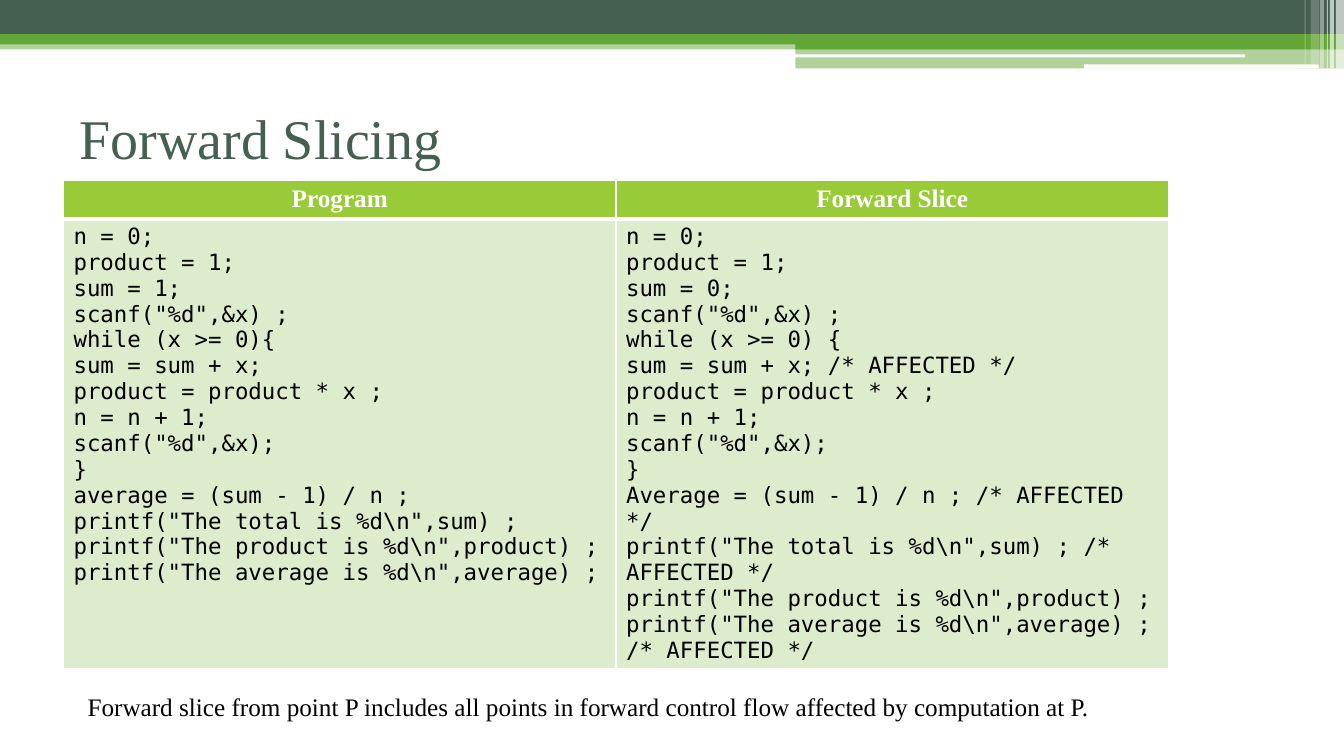
from dataclasses import dataclass

from lxml import etree
from pptx import Presentation
from pptx import util as u
from pptx.dml.color import RGBColor
from pptx.enum import shapes, text
from pptx.oxml.ns import qn


@dataclass(frozen=True)
class Theme:
    dark: str = "455F51"
    green: str = "63A537"
    lime: str = "99CB38"
    pale: str = "DEECCE"
    white: str = "FFFFFF"
    black: str = "000000"
    serif: str = "Times New Roman"
    mono: str = "DejaVu Sans Mono"
    title: int = 40
    body: int = 18
    code: int = 16


def write(frame, words, font, size, color, bold=False, align=text.PP_ALIGN.LEFT):
    """Fill a frame with one paragraph; newlines become line breaks."""
    para = frame.paragraphs[0]
    para.text = words.replace("\n", "\v")
    para.alignment = align
    for run in para.runs:
        run.font.name = font
        run.font.size = u.Pt(size)
        run.font.bold = bold
        run.font.color.rgb = RGBColor.from_string(color)
    for gap in para._p.findall(qn("a:br")):
        props = etree.SubElement(gap, qn("a:rPr"), sz=str(size * 100))
        etree.SubElement(props, qn("a:latin"), typeface=font)


def tint(fill, color, alpha=100):
    """Set a solid fill with its opacity in percent."""
    fill.solid()
    fill.fore_color.rgb = RGBColor.from_string(color)
    if alpha < 100:
        node = fill._xPr.find(qn("a:solidFill"))[0]
        etree.SubElement(node, qn("a:alpha"), val=str(alpha * 1000))


def edge(cell, color, base):
    """Draw 1 pt cell borders, with the bottom one base points wide."""
    props = cell._tc.get_or_add_tcPr()
    widths = {"lnL": 1, "lnR": 1, "lnT": 1, "lnB": base}
    for spot, (side, width) in enumerate(widths.items()):
        line = etree.Element(qn(f"a:{side}"), w=str(u.Pt(width)))
        solid = etree.SubElement(line, qn("a:solidFill"))
        etree.SubElement(solid, qn("a:srgbClr"), val=color)
        props.insert(spot, line)


class Deck:
    def __init__(self, theme):
        self.theme = theme
        self.file = Presentation()
        self.file.slide_width = u.Inches(13.33)
        self.file.slide_height = u.Inches(7.5)
        self.slide = self.file.slides.add_slide(self.file.slide_layouts[6])

    def bar(self, box, color, alpha=100, kind=shapes.MSO_SHAPE.RECTANGLE):
        shape = self.slide.shapes.add_shape(kind, *map(u.Inches, box))
        shape.shadow.inherit = False
        shape.line.fill.background()
        tint(shape.fill, color, alpha)

    def label(self, box, words, size, color, anchor=text.MSO_ANCHOR.TOP):
        frame = self.slide.shapes.add_textbox(*map(u.Inches, box)).text_frame
        frame.word_wrap = True
        frame.vertical_anchor = anchor
        write(frame, words, self.theme.serif, size, color)

    def table(self, box, heads, codes, rows):
        look = self.theme
        grid = self.slide.shapes.add_table(2, len(heads), *map(u.Inches, box)).table
        for row, high in zip(grid.rows, rows):
            row.height = u.Inches(high)
        for col, (head, code) in enumerate(zip(heads, codes)):
            top, low = grid.cell(0, col), grid.cell(1, col)
            write(top.text_frame, head, look.serif, look.body, look.white,
                  bold=True, align=text.PP_ALIGN.CENTER)
            write(low.text_frame, code, look.mono, look.code, look.black)
            for cell, color, base in ((top, look.lime, 3), (low, look.pale, 1)):
                tint(cell.fill, color)
                edge(cell, look.white, base)


PROGRAM = r"""n = 0;
product = 1;
sum = 1;
scanf("%d",&x) ;
while (x >= 0){
sum = sum + x;
product = product * x ;
n = n + 1;
scanf("%d",&x);
}
average = (sum - 1) / n ;
printf("The total is %d\n",sum) ;
printf("The product is %d\n",product) ;
printf("The average is %d\n",average) ;"""

SLICE = r"""n = 0;
product = 1;
sum = 0;
scanf("%d",&x) ;
while (x >= 0) {
sum = sum + x; /* AFFECTED */
product = product * x ;
n = n + 1;
scanf("%d",&x);
}
Average = (sum - 1) / n ; /* AFFECTED */
printf("The total is %d\n",sum) ; /* AFFECTED */
printf("The product is %d\n",product) ;
printf("The average is %d\n",average) ; /* AFFECTED */"""


def main():
    look = Theme()
    deck = Deck(look)

    bands = (
        ((0, 0.4, 13.33, 0.09), look.green, 50),
        ((0, 0, 13.33, 0.34), look.dark, 100),
        ((0, 0.34, 13.33, 0.1), look.green, 100),
        ((7.89, 0.39, 5.44, 0.1), look.green, 100),
        ((7.89, 0.48, 5.44, 0.2), look.green, 50),
    )
    for box, color, alpha in bands:
        deck.bar(box, color, alpha)
    for box in ((7.88, 0.54, 4.47, 0.03), (10.75, 0.64, 2.33, 0.04)):
        deck.bar(box, look.white, kind=shapes.MSO_SHAPE.ROUNDED_RECTANGLE)

    stripes = (
        (13.25, 0.08, 0.68, 65),
        (13.19, 0.04, 0.68, 65),
        (13.16, 0.01, 0.68, 60),
        (13.09, 0.04, 0.68, 40),
        (13, 0.08, 0.64, 20),
        (12.94, 0.01, 0.64, 30),
    )
    for left, wide, high, alpha in stripes:
        deck.bar((left, 0, wide, high), look.white, alpha)

    deck.table((0.63, 1.79, 10.96, 4.77), ("Program", "Forward Slice"),
               (PROGRAM, SLICE), rows=(0.38, 4.39))
    deck.label((0.69, 0.78, 12, 1.17), "Forward Slicing", look.title, look.dark,
               anchor=text.MSO_ANCHOR.MIDDLE)
    deck.label((0.77, 6.81, 11.24, 0.4),
               "Forward slice from point P includes all points in forward "
               "control flow affected by computation at P.",
               look.body, look.black)
    deck.file.save("out.pptx")


if __name__ == "__main__":
    main()
